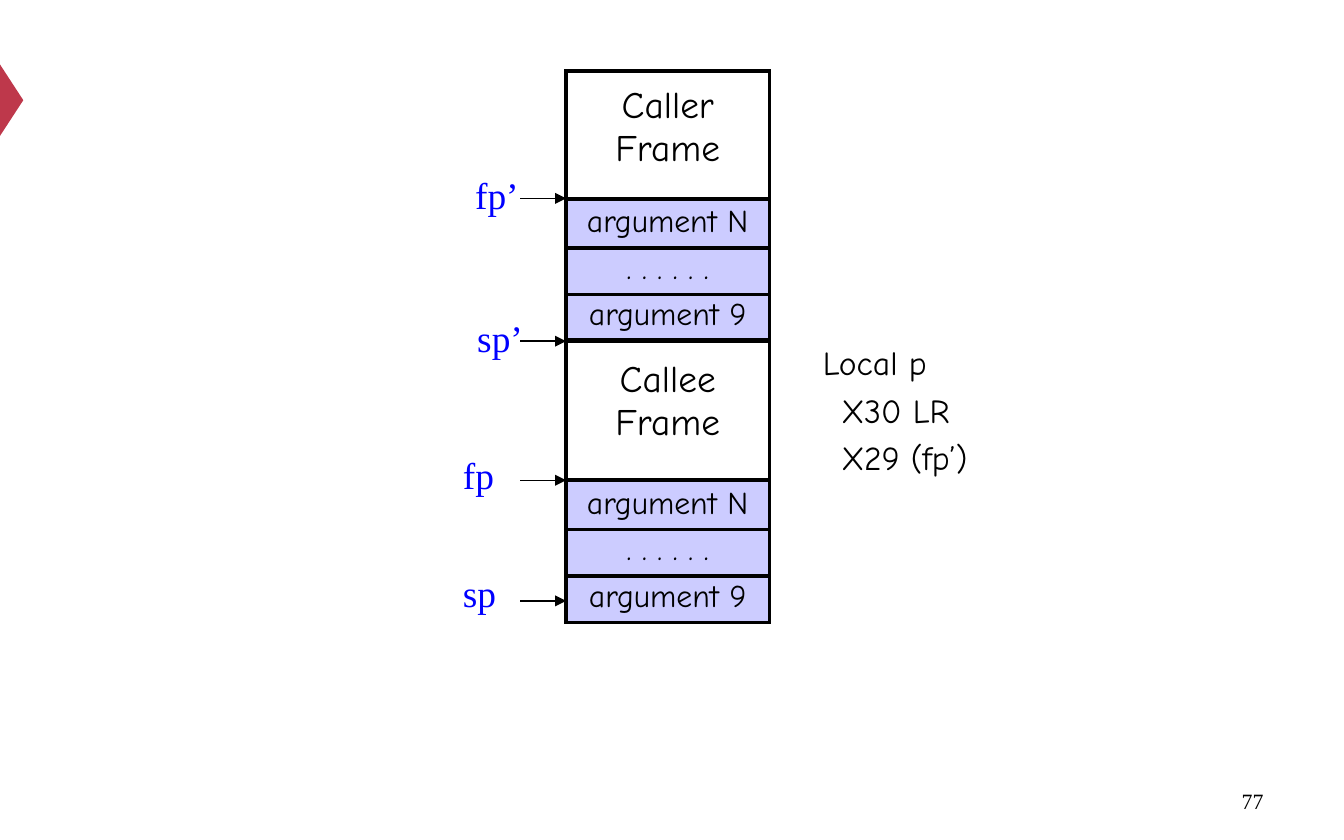
import pptx
import pptx.dml.color
import pptx.enum.shapes
import pptx.enum.text
import pptx.oxml
import pptx.oxml.ns
import pptx.util
from lxml import etree

Cm = pptx.util.Cm
Pt = pptx.util.Pt
Align = pptx.enum.text.PP_ALIGN
Anchor = pptx.enum.text.MSO_ANCHOR

COLOURS = {"ink": "000000", "pointer": "0000FF", "argument": "CCCCFF", "accent": "BE384B"}
HAND, SERIF = "Comic Neue", "Times New Roman"
ARGUMENTS = ["argument N", ". . . . . .", "argument 9"]
ROW, ROW_STEP = 0.93, 0.88
STACK_LEFT, STACK_WIDTH = 10.7, 3.84


def colour(name):
    return pptx.dml.color.RGBColor.from_string(COLOURS[name])


def write(frame, lines, size, font, ink="ink", align=Align.LEFT):
    """Fill a text frame with one paragraph, a line break between lines."""
    para = frame.paragraphs[0]
    para.alignment = align
    for number, line in enumerate(lines):
        if number:
            para.add_line_break()
        span = para.add_run()
        span.text = line
        span.font.size = Pt(size)
        span.font.name = font
        span.font.color.rgb = colour(ink)


def add_label(page, left, middle, width, text, size, font, ink="ink", align=Align.LEFT):
    """Place one line of text, centred vertically on middle."""
    height = 1
    box = page.shapes.add_textbox(Cm(left), Cm(middle - height / 2), Cm(width), Cm(height))
    frame = box.text_frame
    frame.word_wrap = True
    frame.vertical_anchor = Anchor.MIDDLE
    frame.margin_left = frame.margin_right = frame.margin_top = frame.margin_bottom = 0
    write(frame, [text], size, font, ink, align)


def add_borders(cell):
    properties = cell._tc.get_or_add_tcPr()
    for position, side in enumerate(["lnL", "lnR", "lnT", "lnB"]):
        line = pptx.oxml.parse_xml(
            f'<a:{side} {pptx.oxml.ns.nsdecls("a")} w="{Pt(2.25)}"><a:solidFill>'
            f'<a:srgbClr val="{COLOURS["ink"]}"/></a:solidFill></a:{side}>')
        properties.insert(position, line)


def add_block(page, left, top, width, height, lines, size, fill=None, margin_top=0.1):
    """Draw one block of the stack as a table of a single cell."""
    table = page.shapes.add_table(1, 1, Cm(left), Cm(top), Cm(width), Cm(height)).table
    table.first_row = table.horz_banding = False
    cell = table.cell(0, 0)
    cell.margin_left = cell.margin_right = Cm(0.2)
    cell.margin_top, cell.margin_bottom = Cm(margin_top), Cm(0.1)
    if fill:
        cell.fill.solid()
        cell.fill.fore_color.rgb = colour(fill)
    else:
        cell.fill.background()
    write(cell.text_frame, lines, size, HAND, align=Align.CENTER)
    add_borders(cell)


def add_stack_frame(page, left, top, width, title, title_height, margin_top, first_argument):
    """Draw a titled frame, then its outgoing arguments from the last one up."""
    add_block(page, left, top, width, title_height, [title, "Frame"], 20, margin_top=margin_top)
    for number, argument in reversed(list(enumerate(ARGUMENTS))):
        add_block(page, left, first_argument + number * ROW_STEP, width, ROW,
                  [argument], 17, "argument")


def add_pointer(page, stack_left, level, name, gap, lift):
    """Draw a register name, gap left of the stack, and its arrow at level."""
    add_label(page, stack_left - gap, level - lift, 1.2, name, 20, SERIF, "pointer")
    arrow = page.shapes.add_connector(pptx.enum.shapes.MSO_CONNECTOR.STRAIGHT,
                                      Cm(stack_left - 0.87), Cm(level),
                                      Cm(stack_left), Cm(level))
    arrow.line.color.rgb = colour("ink")
    arrow.line.width = Pt(0.75)
    qn = pptx.oxml.ns.qn
    etree.SubElement(arrow.line._get_or_add_ln(), qn("a:tailEnd"), type="triangle")
    etree.SubElement(arrow._element.spPr, qn("a:effectLst"))


def add_saved_values(page, left, top, width):
    """List what the callee frame holds, indented under the first line."""
    for number, text in enumerate(["Local p", "X30 LR", "X29 (fp’)"]):
        indent = 0.35 if number else 0
        add_label(page, left + indent, top + 0.5 + 0.9 * number, width - indent, text, 18, HAND)


def add_edge_marker(page, left, top, width, height):
    """Draw a triangle that points right and fills the given box."""
    marker = page.shapes.add_shape(
        pptx.enum.shapes.MSO_SHAPE.ISOSCELES_TRIANGLE,
        Cm(left + (width - height) / 2), Cm(top + (height - width) / 2), Cm(height), Cm(width))
    marker.rotation = 90
    marker.shadow.inherit = False
    marker.fill.solid()
    marker.fill.fore_color.rgb = colour("accent")
    marker.line.fill.background()


def main():
    deck = pptx.Presentation()
    deck.slide_width, deck.slide_height = Cm(25.4), Cm(15.88)
    page = deck.slides.add_slide(deck.slide_layouts[6])

    add_edge_marker(page, 0, 1.22, 0.44, 1.35)
    add_stack_frame(page, STACK_LEFT, 1.34, STACK_WIDTH, "Caller", 4.22, 0.27, 3.76)
    add_stack_frame(page, STACK_LEFT, 6.43, STACK_WIDTH, "Callee", 2.65, 0.36, 9.08)

    pointers = [("fp’", 3.75, 1.72, 0.07), ("sp’", 6.45, 1.68, 0.06),
                ("fp", 9.08, 1.95, 0.1), ("sp", 11.36, 1.95, 0.15)]
    for name, level, gap, lift in pointers:
        add_pointer(page, STACK_LEFT, level, name, gap, lift)

    add_saved_values(page, 15.55, 6.35, 3.2)
    add_label(page, 18.46, 15.13, 5.42, "77", 11.7, SERIF, align=Align.RIGHT)
    deck.save("out.pptx")


if __name__ == "__main__":
    main()
